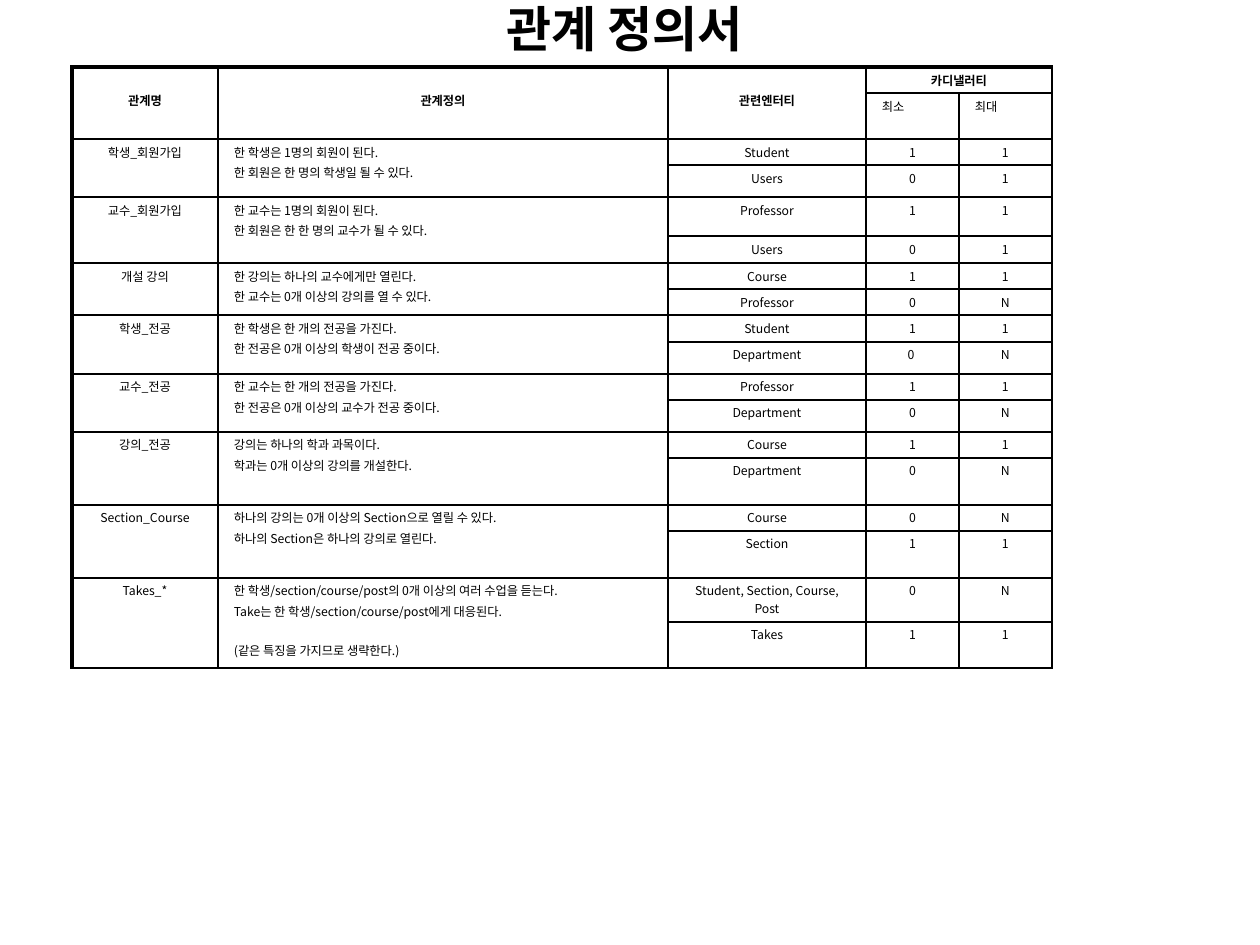
from dataclasses import dataclass

from lxml.etree import SubElement
from pptx import Presentation
from pptx.dml.color import RGBColor
from pptx.enum.text import MSO_ANCHOR as Anchor, PP_ALIGN as Align
from pptx.oxml.ns import qn
from pptx.util import Emu, Pt

SCALE = 914400 // 126


@dataclass(frozen=True)
class Theme:
    """Colours, fonts and sizes of the slide."""
    ink: str = "000000"
    title_font: str = "Arial"
    body_font: str = "Noto Sans CJK KR"
    title_size: float = 28
    body_size: float = 7
    gap: float = 1.4
    wide_gap: float = 12.7
    thin: float = 1
    thick: float = 2.25


THEME = Theme()
COLUMNS = [146, 450, 198, 93, 93]
ROWS = [26, 46, 26, 32, 39, 27, 26, 26, 27, 32, 26, 32, 26, 47, 26, 47, 44, 46]
PAD_X, PAD_Y, HEAD_PAD = 16, 4, 24

# Relation, definition lines, then (entity, minimum, maximum) for each side
RELATIONS = [
    ("학생_회원가입", ["한 학생은 1명의 회원이 된다.", "한 회원은 한 명의 학생일 될 수 있다."],
     [("Student", "1", "1"), ("Users", "0", "1")]),
    ("교수_회원가입", ["한 교수는 1명의 회원이 된다.", "한 회원은 한 한 명의 교수가 될 수 있다."],
     [("Professor", "1", "1"), ("Users", "0", "1")]),
    ("개설 강의", ["한 강의는 하나의 교수에게만 열린다.", "한 교수는 0개 이상의 강의를 열 수 있다."],
     [("Course", "1", "1"), ("Professor", "0", "N")]),
    ("학생_전공", ["한 학생은 한 개의 전공을 가진다.", "한 전공은 0개 이상의 학생이 전공 중이다."],
     [("Student", "1", "1"), ("Department", "0 ", "N")]),
    ("교수_전공", ["한 교수는 한 개의 전공을 가진다.", "한 전공은 0개 이상의 교수가 전공 중이다."],
     [("Professor", "1", "1"), ("Department", "0", "N")]),
    ("강의_전공", ["강의는 하나의 학과 과목이다.", "학과는 0개 이상의 강의를 개설한다. "],
     [("Course", "1", "1"), ("Department", "0", "N")]),
    ("Section_Course", ["하나의 강의는 0개 이상의 Section으로 열릴 수 있다.",
                        "하나의 Section은 하나의 강의로 열린다."],
     [("Course", "0", "N"), ("Section", "1", "1")]),
    ("Takes_*", ["한 학생/section/course/post의 0개 이상의 여러 수업을 듣는다.",
                 "Take는 한 학생/section/course/post에게 대응된다.",
                 "(같은 특징을 가지므로 생략한다.)"],
     [("Student, Section, Course, Post", "0", "N"), ("Takes", "1", "1")]),
]


def px(value):
    """Turn slide pixels into EMU."""
    return Emu(value * SCALE)


def apply(target, values):
    """Set each attribute named in a dict."""
    for name, value in values.items():
        setattr(target, name, value)


def write(para, text, size, font, bold=False, align=Align.LEFT, gap=0):
    """Fill one paragraph with a formatted span."""
    apply(para, {"alignment": align, "space_before": Pt(gap)})
    span = para.add_run()
    span.text = text
    apply(span.font, {"size": Pt(size), "name": font, "bold": bold})
    span.font.color.rgb = RGBColor.from_string(THEME.ink)
    SubElement(span.font._element, qn("a:ea"), typeface=THEME.body_font)


def add_title(page, text):
    """Place the centred heading over the table."""
    box = page.shapes.add_textbox(0, px(1), px(1260), px(53))
    frame = box.text_frame
    apply(frame, {"word_wrap": True, "vertical_anchor": Anchor.MIDDLE,
                  "margin_top": 0, "margin_bottom": 0})
    write(frame.paragraphs[0], text, THEME.title_size, THEME.title_font,
          bold=True, align=Align.CENTER)


def style_cell(cell, row, column):
    """Clear the fill and draw four borders, thick on the outer left and top."""
    props = cell._tc.get_or_add_tcPr()
    widths = {"a:lnL": THEME.thin if column else THEME.thick, "a:lnR": THEME.thin,
              "a:lnT": THEME.thin if row else THEME.thick, "a:lnB": THEME.thin}
    for tag, width in widths.items():
        line = SubElement(props, qn(tag), w=str(Pt(width)))
        fill = SubElement(line, qn("a:solidFill"))
        SubElement(fill, qn("a:srgbClr"), val=THEME.ink)
    cell.fill.background()
    apply(cell, {"margin_left": px(PAD_X), "margin_right": px(PAD_X),
                 "margin_top": px(PAD_Y), "margin_bottom": px(PAD_Y),
                 "vertical_anchor": Anchor.TOP})


def fill_cell(cell, lines, bold=False, align=Align.CENTER):
    """Write lines into a cell; a third line stands apart from the first two."""
    frame = cell.text_frame
    for index, text in enumerate(lines):
        para = frame.add_paragraph() if index else frame.paragraphs[0]
        gap = THEME.wide_gap if index == 2 else THEME.gap
        write(para, text, THEME.body_size, THEME.body_font, bold, align, gap)


def add_grid(page):
    """Add the empty ruled table."""
    table = page.shapes.add_table(len(ROWS), len(COLUMNS), px(72), px(67),
                                  px(sum(COLUMNS)), px(sum(ROWS))).table
    apply(table, {"first_row": False, "horz_banding": False})
    for column, width in zip(table.columns, COLUMNS):
        column.width = px(width)
    for row, height in zip(table.rows, ROWS):
        row.height = px(height)
    for row in range(len(ROWS)):
        for column in range(len(COLUMNS)):
            style_cell(table.cell(row, column), row, column)
    return table


def fill_header(table):
    """Write the two header rows."""
    for column, label in enumerate(["관계명", "관계정의", "관련엔터티"]):
        cell = table.cell(0, column)
        cell.merge(table.cell(1, column))
        cell.margin_top = px(HEAD_PAD)
        fill_cell(cell, [label], bold=True)
    table.cell(0, 3).merge(table.cell(0, 4))
    fill_cell(table.cell(0, 3), ["카디낼러티"], bold=True)
    for column, label in enumerate(["최소", "최대"], 3):
        fill_cell(table.cell(1, column), [label], align=Align.LEFT)


def fill_relation(table, top, name, definition, sides):
    """Write one relation over two rows."""
    for column in (0, 1):
        table.cell(top, column).merge(table.cell(top + 1, column))
    fill_cell(table.cell(top, 0), [name])
    fill_cell(table.cell(top, 1), definition, align=Align.LEFT)
    for row, side in enumerate(sides, top):
        for column, text in enumerate(side, 2):
            fill_cell(table.cell(row, column), [text])


def main():
    """Build and save the slide."""
    deck = Presentation()
    apply(deck, {"slide_width": px(1260), "slide_height": px(945)})
    page = deck.slides.add_slide(deck.slide_layouts[6])
    add_title(page, "관계 정의서 ")
    table = add_grid(page)
    fill_header(table)
    for index, relation in enumerate(RELATIONS):
        fill_relation(table, 2 + 2 * index, *relation)
    deck.save("out.pptx")


main()
